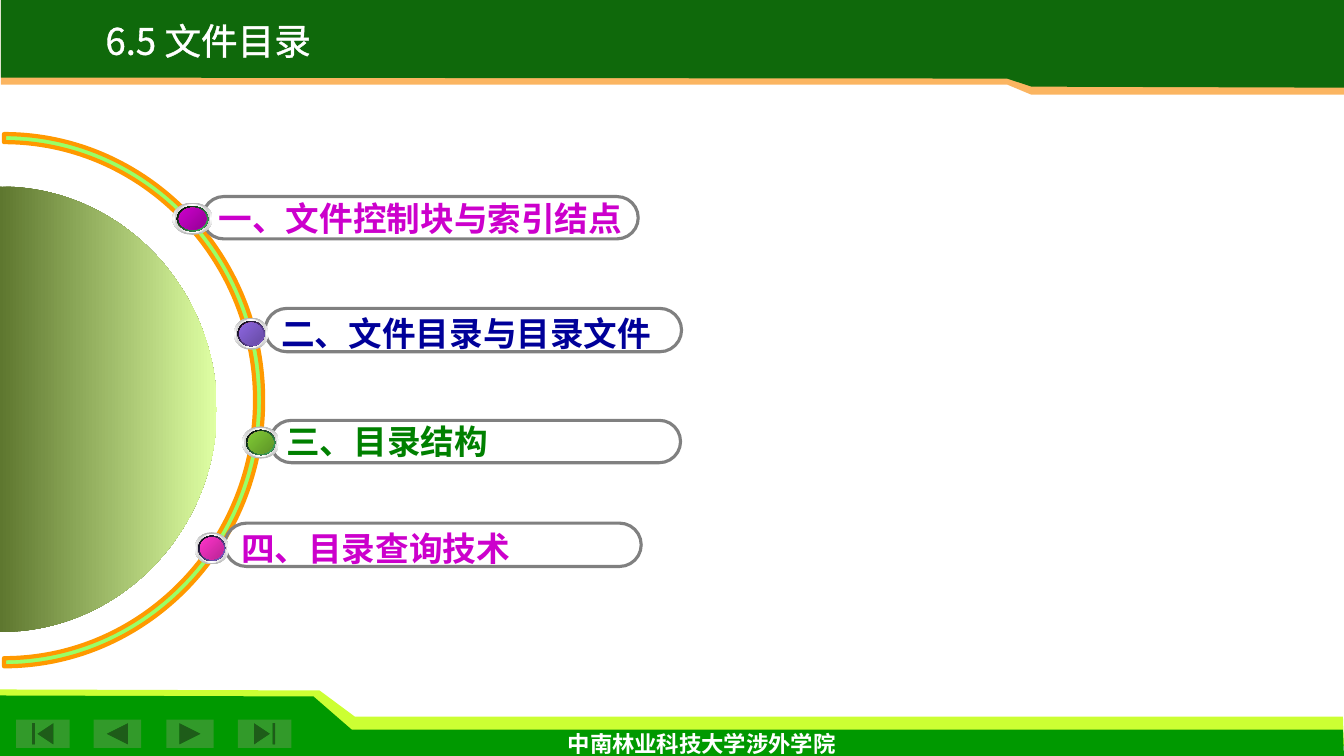
from dataclasses import dataclass

from lxml.etree import SubElement
from pptx import Presentation
from pptx.dml.color import RGBColor
from pptx.enum.shapes import MSO_SHAPE as Preset
from pptx.enum.text import MSO_ANCHOR as Anchor, PP_ALIGN as Align
from pptx.oxml.ns import qn
from pptx.util import Inches, Pt

COLORS = {
    "white": "FFFFFF", "lime": "CCFF33", "green": "009900", "button": "329A2A",
    "peach": "FBB561", "header": "0F690B", "arc": "99FF66", "arc_edge": "FF9900",
    "dome_dark": "5E772F", "dome_light": "DFFFA3", "pill_edge": "808080",
    "magenta": "CC00CC", "navy": "000099", "leaf": "008000",
    "silver": "B6B6B6", "pearl": "D1D1D1", "rose": "E15D7C", "rose_dark": "AC475F",
    "black": "000000", "mint": "48BE67", "violet": "8D67E1", "violet_dark": "674BA4",
    "purple_dark": "950095", "apple": "80CB35", "apple_dark": "5E9427",
    "pink": "FF33CC", "pink_dark": "BA2595",
}
CJK_FONT = "Noto Sans CJK SC"
Points = list[tuple[float, float]]


@dataclass
class Topic:
    text: str
    color: str
    pill: tuple[float, float, float, float]
    bead: tuple[float, float, float]  # left, top, width
    rim: str
    ball: tuple[str, str]
    drop: float = 0


@dataclass
class BeadLayer:
    scale: float
    colors: tuple[str, ...]
    angle: int


TOPICS = [
    Topic("一、文件控制块与索引结点", "magenta", (2.01, 1.95, 4.32, 0.42),
          (1.71, 2.01, 0.4), "mint", ("magenta", "purple_dark")),
    Topic("二、文件目录与目录文件", "navy", (2.63, 3.06, 4.13, 0.43),
          (2.32, 3.15, 0.34), "violet", ("violet", "violet_dark"), 0.03),
    Topic("三、目录结构", "leaf", (2.68, 4.17, 4.07, 0.42),
          (2.4, 4.23, 0.37), "mint", ("apple", "apple_dark")),
    Topic("四、目录查询技术", "magenta", (2.23, 5.19, 4.13, 0.43),
          (1.93, 5.28, 0.34), "violet", ("pink", "pink_dark"), 0.03),
]
BANDS: list[tuple[str, Points]] = [
    ("lime", [(0.01, 7.4), (13.33, 7.4), (13.32, 7.11), (3.52, 7.11), (3.17, 6.85), (0, 6.84)]),
    ("green", [(0, 7.5), (13.33, 7.5), (13.32, 7.24), (3.49, 7.24), (3.11, 6.91), (0, 6.9)]),
    ("peach", [(13.33, 0), (0.01, 0), (0.01, 0.84), (9.99, 0.84), (10.23, 0.94), (13.33, 0.94)]),
    ("header", [(13.33, 0), (0.01, 0), (0.01, 0.77), (9.99, 0.78), (10.23, 0.86), (13.33, 0.87)]),
]
BUTTONS = [
    (Preset.ACTION_BUTTON_BACK_OR_PREVIOUS, 0.93, 0.47),
    (Preset.ACTION_BUTTON_FORWARD_OR_NEXT, 1.65, 0.47),
    (Preset.ACTION_BUTTON_BEGINNING, 0.16, 0.53),
    (Preset.ACTION_BUTTON_END, 2.36, 0.53),
]
BEAD_HEIGHT = 0.32
QUARTER = 0.55  # control point distance of a quarter circle


def rgb(name: str) -> RGBColor:
    return RGBColor.from_string(COLORS[name])


def paint(shape, fill: tuple[str, ...] = (), angle: int = 0,
          edge: str = "", weight: float = 0) -> None:
    """Fill with nothing, one colour or an even gradient, and set the outline."""
    shape.shadow.inherit = False
    if not fill:
        shape.fill.background()
    elif len(fill) == 1:
        shape.fill.solid()
        shape.fill.fore_color.rgb = rgb(fill[0])
    else:
        shape.fill.gradient()
        gradient = shape._element.spPr.find(qn("a:gradFill"))
        for child in list(gradient):
            gradient.remove(child)
        stops = SubElement(gradient, qn("a:gsLst"))
        for i, name in enumerate(fill):
            stop = SubElement(stops, qn("a:gs"), pos=str(100000 * i // (len(fill) - 1)))
            SubElement(stop, qn("a:srgbClr"), val=COLORS[name])
        SubElement(gradient, qn("a:lin"), ang=str(angle * 60000), scaled="0")
    if edge:
        shape.line.color.rgb = rgb(edge)
        shape.line.width = Pt(weight)
    else:
        shape.line.fill.background()


def write(shape, text: str, *, size: float, color: str, font: str, bold: bool = False,
          align: Align = Align.LEFT, spacing: float = 1.0, side: float = 0.1,
          top: float = 0, outline: float = 0) -> None:
    frame = shape.text_frame
    frame.word_wrap = True
    frame.vertical_anchor = Anchor.MIDDLE
    frame.margin_left = frame.margin_right = Inches(side)
    frame.margin_top, frame.margin_bottom = Inches(top), 0
    paragraph = frame.paragraphs[0]
    paragraph.alignment = align
    paragraph.line_spacing = spacing
    run = paragraph.add_run()
    run.text = text
    run.font.size, run.font.bold, run.font.name = Pt(size), bold, font
    run.font.color.rgb = rgb(color)
    properties = run.font._element
    SubElement(properties, qn("a:ea"), typeface=CJK_FONT)
    if outline:
        line = SubElement(properties, qn("a:ln"), w=str(Pt(outline)))
        SubElement(SubElement(line, qn("a:solidFill")), qn("a:srgbClr"), val=COLORS[color])
        properties.insert(0, line)


def add_preset(shapes, preset: Preset, left: float, top: float, width: float, height: float):
    return shapes.add_shape(preset, Inches(left), Inches(top), Inches(width), Inches(height))


def add_outline(shapes, points: Points, curves: tuple[int, ...] = ()):
    """Draw a closed outline; each index in curves starts three points of a Bézier curve."""
    corners = [(Inches(x), Inches(y)) for x, y in points]
    builder = shapes.build_freeform(*corners[0])
    builder.add_line_segments(corners[1:], close=True)
    shape = builder.convert_to_shape()
    segments = list(next(shape._element.iter(qn("a:path"))))
    for start in curves:
        curve = SubElement(segments[0].getparent(), qn("a:cubicBezTo"))
        segments[start].addprevious(curve)
        for segment in segments[start:start + 3]:
            curve.append(segment[0])
            segment.getparent().remove(segment)
    return shape


def half_ellipse(x: float, y: float, rx: float, ry: float) -> Points:
    """Bézier points down the right half of an ellipse centred on x, y."""
    upper = [(0, -1), (QUARTER, -1), (1, -QUARTER), (1, 0)]
    lower = [(u, -v) for u, v in upper[-2::-1]]
    return [(x + rx * u, y + ry * v) for u, v in upper + lower]


def add_topic(shapes, topic: Topic) -> None:
    group = shapes.add_group_shape().shapes
    pill = add_preset(group, Preset.ROUNDED_RECTANGLE, *topic.pill)
    pill.adjustments[0] = 0.5
    paint(pill, edge="pill_edge", weight=2.25)
    write(pill, topic.text, size=24, color=topic.color, font="Arial", bold=True,
          top=2 * topic.drop)
    left, top, width = topic.bead
    layers = [
        BeadLayer(1, ("silver", "white", "silver"), 90),
        BeadLayer(0.89, ("pearl", "white", "pearl"), 0),
        BeadLayer(0.78, ("white", "rose", "white"), 45),
        BeadLayer(0.78, ("black", topic.rim), 45),
        BeadLayer(0.68, ("rose_dark", "rose", "rose_dark"), 315),
        BeadLayer(0.68, topic.ball, 45),
    ]
    for layer in layers:
        inset = (1 - layer.scale) / 2
        bead = add_preset(group, Preset.OVAL, left + width * inset, top + BEAD_HEIGHT * inset,
                          width * layer.scale, BEAD_HEIGHT * layer.scale)
        paint(bead, layer.colors, layer.angle)


def main() -> None:
    deck = Presentation()
    deck.slide_width, deck.slide_height = Inches(13.33), Inches(7.5)
    shapes = deck.slides.add_slide(deck.slide_layouts[6]).shapes

    for color, points in BANDS:
        paint(add_outline(shapes, points), (color,))
    for preset, left, width in BUTTONS:
        paint(add_preset(shapes, preset, left, 7.14, width, 0.28), ("button",))
    school = shapes.add_textbox(Inches(4.15), Inches(7.19), Inches(5.62), Inches(0.37))
    write(school, "中南林业科技大学涉外学院", size=16, color="white",
          font="Times New Roman", bold=True, align=Align.CENTER)

    outer = half_ellipse(0.04, 3.97, 2.57, 2.64)
    inner = half_ellipse(0.04, 3.97, 2.49, 2.56)
    arc = add_outline(shapes, outer + inner[::-1], (1, 4, 8, 11))
    paint(arc, ("arc",), edge="arc_edge", weight=3)
    dome = add_outline(shapes, half_ellipse(0, 4.06, 2.15, 2.21), (1, 4))
    paint(dome, ("dome_dark", "dome_light"))
    for topic in TOPICS:
        add_topic(shapes, topic)

    title = shapes.add_textbox(Inches(0.57), Inches(0.21), Inches(2.99), Inches(0.46))
    write(title, "6.5 文件目录", size=26.1, color="white", font=CJK_FONT,
          align=Align.CENTER, spacing=0.8, outline=1.5)
    deck.save("out.pptx")


if __name__ == "__main__":
    main()
